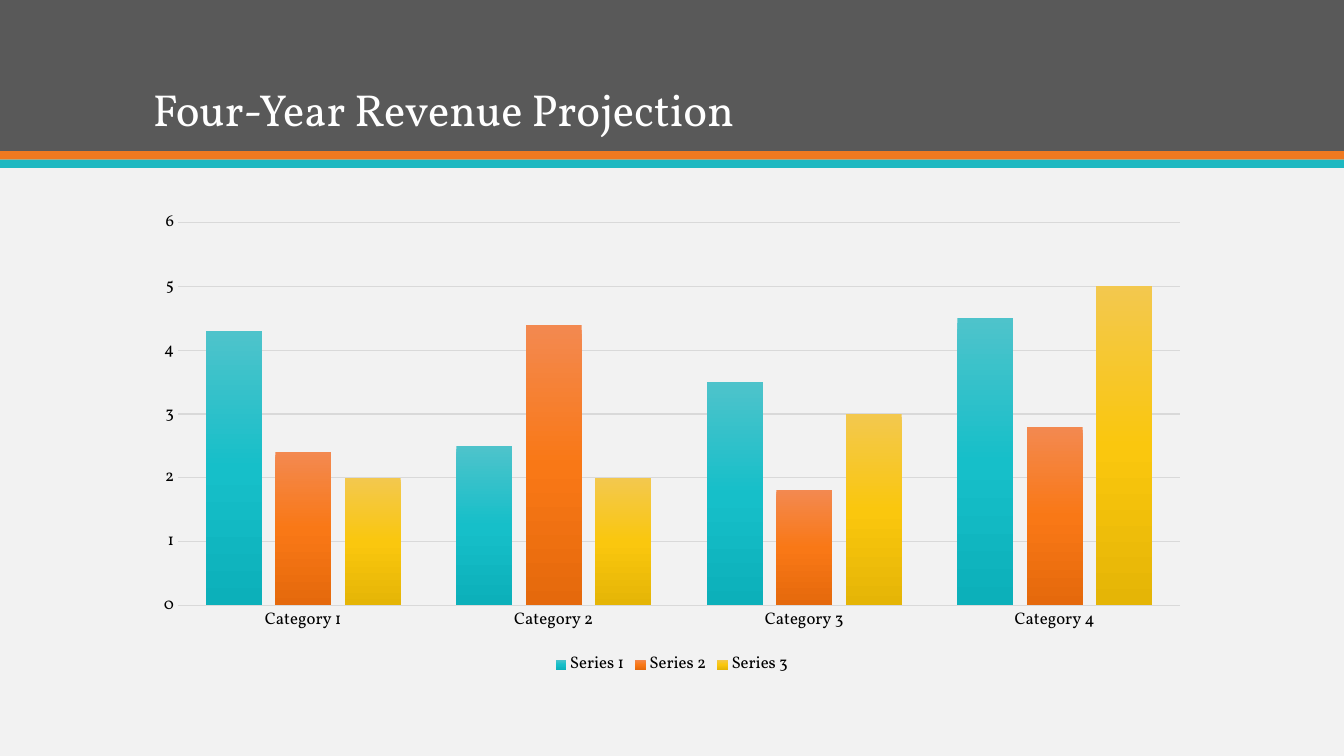
"""Build a slide with a banded heading and a clustered column chart."""
import copy

import pptx
import pptx.chart.data
import pptx.dml.color
import pptx.enum.chart
import pptx.enum.shapes
import pptx.enum.text
import pptx.util

RGBColor = pptx.dml.color.RGBColor
PX = 9525
PAGE_WIDTH, PAGE_HEIGHT = 1280, 720
MARGIN = 136
FONT = "Vollkorn"

PAPER = RGBColor(0xF2, 0xF2, 0xF2)
WHITE = RGBColor(0xFF, 0xFF, 0xFF)
BLACK = RGBColor(0x00, 0x00, 0x00)
CHARCOAL = RGBColor(0x59, 0x59, 0x59)
ORANGE = RGBColor(0xEF, 0x79, 0x20)
TEAL = RGBColor(0x1E, 0xB8, 0xC1)
RULE = RGBColor(0xD9, 0xD9, 0xD9)
TEAL_SHADES = [RGBColor(0x4E, 0xC3, 0xCB), RGBColor(0x16, 0xBF, 0xC9), RGBColor(0x0C, 0xB0, 0xBA)]
ORANGE_SHADES = [RGBColor(0xF3, 0x89, 0x50), RGBColor(0xF9, 0x78, 0x16), RGBColor(0xE5, 0x69, 0x0C)]
YELLOW_SHADES = [RGBColor(0xF3, 0xC8, 0x4E), RGBColor(0xFA, 0xC7, 0x0E), RGBColor(0xE5, 0xB5, 0x06)]

CATEGORIES = ["Category 1", "Category 2", "Category 3", "Category 4"]
REVENUE = [
    ("Series 1", [4.3, 2.5, 3.5, 4.5], TEAL_SHADES),
    ("Series 2", [2.4, 4.4, 1.8, 2.8], ORANGE_SHADES),
    ("Series 3", [2, 2, 3, 5], YELLOW_SHADES),
]


def scaled(*lengths):
    """Turn px lengths into EMU."""
    return [pptx.util.Emu(length * PX) for length in lengths]


def style_font(font, size, color):
    """Give a font the deck's typeface with a size and colour."""
    font.name = FONT
    font.size = pptx.util.Pt(size)
    font.bold = False
    font.color.rgb = color


def write_text(shape, text, size, color, anchor, align, line_spacing):
    """Write one formatted paragraph into a shape."""
    frame = shape.text_frame
    frame.word_wrap = True
    frame.auto_size = pptx.enum.text.MSO_AUTO_SIZE.NONE
    frame.vertical_anchor = anchor
    para = frame.paragraphs[0]
    para.alignment = align
    para.line_spacing = line_spacing
    span = para.add_run()
    span.text = text
    style_font(span.font, size, color)


def add_heading(page, box, text):
    """Stack the header bands in the box and set the title on the tallest."""
    left, top, width, height = box
    stripe = 8
    band_height = height - 2 * stripe
    for color, depth in ((CHARCOAL, band_height), (ORANGE, stripe), (TEAL, stripe)):
        band = page.shapes.add_shape(
            pptx.enum.shapes.MSO_SHAPE.RECTANGLE, *scaled(left, top, width, depth))
        band.shadow.inherit = False
        band.fill.solid()
        band.fill.fore_color.rgb = color
        band.line.fill.background()
        top += depth
    title = page.shapes.title
    title.left, title.top, title.width, title.height = scaled(
        left + MARGIN, box[1] + 27, width - 2 * MARGIN, band_height - 36)
    write_text(title, text, size=32, color=WHITE, line_spacing=0.9,
               anchor=pptx.enum.text.MSO_ANCHOR.BOTTOM,
               align=pptx.enum.text.PP_ALIGN.LEFT)
    page.shapes._spTree.append(title._element)


def shade_columns(series, shades):
    """Fill a series from top to bottom with three evenly spaced shades."""
    fill = series.format.fill
    fill.gradient()
    fill.gradient_angle = 270
    stop_list = series._element.xpath(".//a:gsLst")[0]
    stop_list.append(copy.deepcopy(stop_list[0]))
    for index, (stop, shade) in enumerate(zip(fill.gradient_stops, shades)):
        stop.position = index / 2
        stop.color.rgb = shade
    series.invert_if_negative = False


def style_axis(axis, line):
    """Format an axis's labels and rule, without tick marks."""
    axis.major_tick_mark = pptx.enum.chart.XL_TICK_MARK.NONE
    axis.minor_tick_mark = pptx.enum.chart.XL_TICK_MARK.NONE
    style_font(axis.tick_labels.font, 12, BLACK)
    if line:
        style_rule(axis.format.line)
    else:
        axis.format.line.fill.background()


def style_rule(line):
    """Draw a thin pale line."""
    line.color.rgb = RULE
    line.width = pptx.util.Pt(0.75)


def add_revenue_chart(page, box):
    """Place the clustered column chart in the box."""
    data = pptx.chart.data.CategoryChartData()
    data.categories = CATEGORIES
    for name, values, _ in REVENUE:
        data.add_series(name, values)
    chart = page.shapes.add_chart(
        pptx.enum.chart.XL_CHART_TYPE.COLUMN_CLUSTERED, *scaled(*box), data).chart
    style_font(chart.font, 10, CHARCOAL)
    chart.has_title = False
    chart.has_legend = True
    chart.legend.position = pptx.enum.chart.XL_LEGEND_POSITION.BOTTOM
    chart.legend.include_in_layout = False
    style_font(chart.legend.font, 12, BLACK)
    plot = chart.plots[0]
    plot.vary_by_categories = False
    plot.gap_width = 100
    plot.overlap = -24
    for series, (_, _, shades) in zip(plot.series, REVENUE):
        shade_columns(series, shades)
    style_axis(chart.category_axis, line=True)
    value_axis = chart.value_axis
    style_axis(value_axis, line=False)
    value_axis.minimum_scale = 0
    value_axis.maximum_scale = 6
    value_axis.major_unit = 1
    value_axis.has_major_gridlines = True
    style_rule(value_axis.major_gridlines.format.line)


def main():
    """Build and save the deck."""
    deck = pptx.Presentation()
    deck.slide_width, deck.slide_height = scaled(PAGE_WIDTH, PAGE_HEIGHT)
    page = deck.slides.add_slide(deck.slide_layouts[5])
    page.background.fill.solid()
    page.background.fill.fore_color.rgb = PAPER
    add_heading(page, (0, 0, PAGE_WIDTH, 160), "Four-Year Revenue Projection")
    add_revenue_chart(page, (MARGIN, 192, PAGE_WIDTH - 2 * MARGIN, 456))
    deck.save("out.pptx")


if __name__ == "__main__":
    main()
